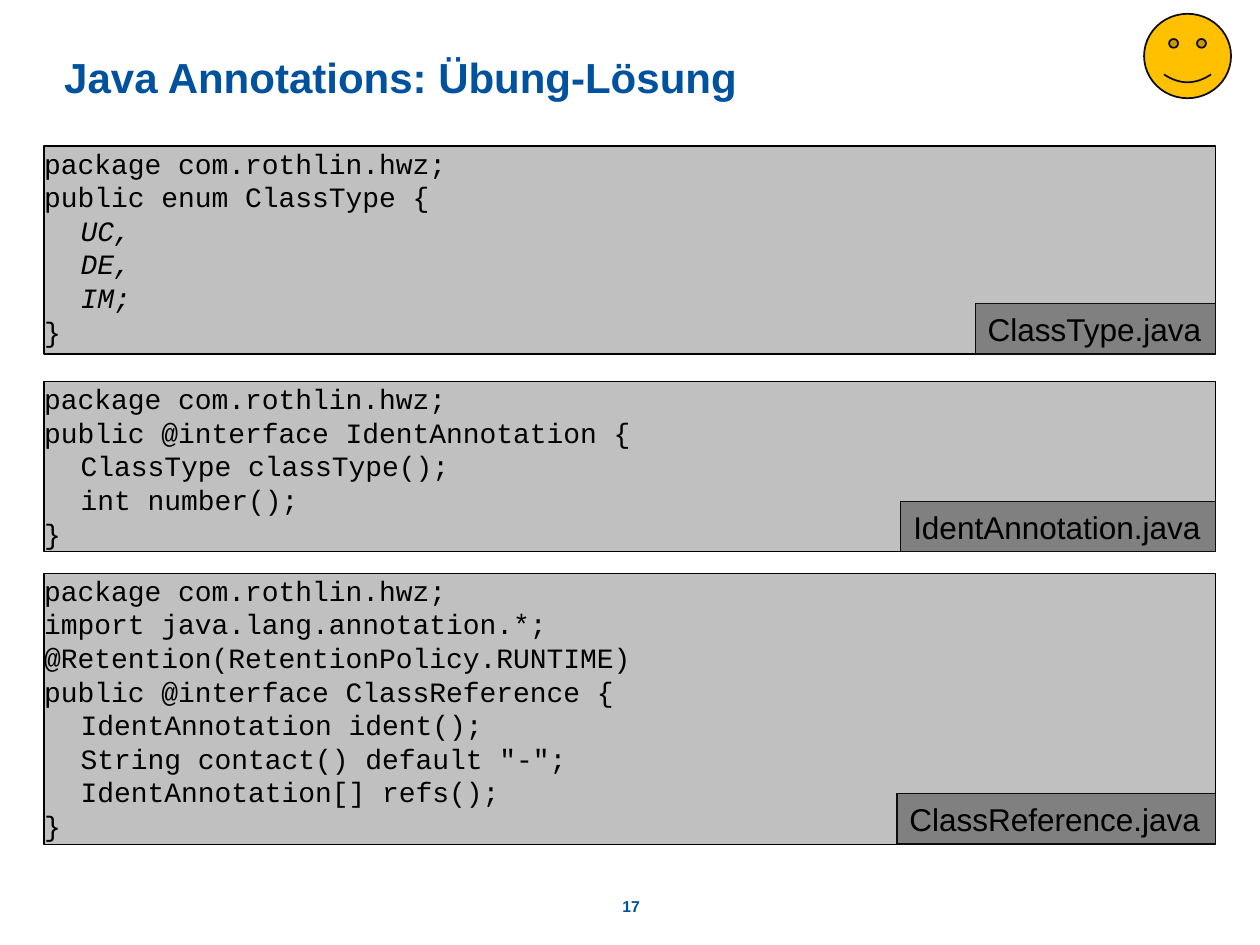
from pptx import Presentation
from pptx.dml.color import RGBColor
from pptx.enum.shapes import MSO_SHAPE
from pptx.enum.text import MSO_ANCHOR, PP_ALIGN
from pptx.util import Inches, Pt

RECTANGLE, SMILEY = MSO_SHAPE.RECTANGLE, MSO_SHAPE.SMILEY_FACE
TOP, MIDDLE = MSO_ANCHOR.TOP, MSO_ANCHOR.MIDDLE
LEFT, CENTER = PP_ALIGN.LEFT, PP_ALIGN.CENTER

BLACK = RGBColor(0x00, 0x00, 0x00)
NEAR_BLACK = RGBColor(0x0D, 0x0D, 0x0D)
BLUE = RGBColor(0x00, 0x52, 0x9F)
LIGHT_GREY = RGBColor(0xC0, 0xC0, 0xC0)
GREY = RGBColor(0x80, 0x80, 0x80)
YELLOW = RGBColor(0xFF, 0xC0, 0x00)

CODE_FONT = {"name": "Courier New", "size": Pt(16), "color": BLACK}
LABEL_FONT = {"name": "Arial", "size": Pt(18), "color": BLACK}
TITLE_FONT = {"name": "Arial", "size": Pt(24), "bold": True, "color": BLUE}
NUMBER_FONT = {"name": "Arial", "size": Pt(9), "bold": True, "color": BLUE}

TITLE = "Java Annotations: Übung-Lösung"
PAGE_NUMBER = "17"
ITALIC_LINES = {"\tUC,", "\tDE,", "\tIM;"}
LISTINGS = [
    {"file": "ClassType.java", "top": 1.16, "height": 1.65, "label_width": 1.91,
     "code": ["package com.rothlin.hwz;",
              "public enum ClassType {",
              "\tUC,",
              "\tDE,",
              "\tIM;",
              "}"]},
    {"file": "IdentAnnotation.java", "top": 3.03, "height": 1.35, "label_width": 2.5,
     "code": ["package com.rothlin.hwz;",
              "public @interface IdentAnnotation {",
              "\tClassType classType();",
              "\tint number();",
              "}"]},
    {"file": "ClassReference.java", "top": 4.55, "height": 2.15, "label_width": 2.53,
     "code": ["package com.rothlin.hwz;",
              "import java.lang.annotation.*;",
              "@Retention(RetentionPolicy.RUNTIME)",
              "public @interface ClassReference {",
              "\tIdentAnnotation ident();",
              "\tString contact() default \"-\";",
              "\tIdentAnnotation[] refs();",
              "}"]},
]
CODE_LEFT, CODE_WIDTH = 0.35, 9.3
CODE_INDENT = 0.29
LABEL_HEIGHT = 0.4


def add_panel(page, kind, place, fill, line, line_width=0.75):
    panel = page.shapes.add_shape(kind, *map(Inches, place))
    panel.shadow.inherit = False
    panel.fill.solid()
    panel.fill.fore_color.rgb = fill
    panel.line.color.rgb = line
    panel.line.width = Pt(line_width)
    return panel


def write(box, lines, font, align=LEFT, anchor=TOP, wrap=True, inset=None, indent=0):
    frame = box.text_frame
    frame.word_wrap = wrap
    frame.vertical_anchor = anchor
    if inset is not None:
        for side in ("left", "top", "right", "bottom"):
            setattr(frame, f"margin_{side}", Inches(inset))
    for index, line in enumerate(lines):
        para = frame.add_paragraph() if index else frame.paragraphs[0]
        para.alignment = align
        if indent:
            properties = para._p.get_or_add_pPr()
            properties.set("marL", str(Inches(indent)))
            properties.set("indent", str(Inches(-indent)))
        span = para.add_run()
        span.text = line
        for key, value in font.items():
            if key == "color":
                span.font.color.rgb = value
            else:
                setattr(span.font, key, value)
        if line in ITALIC_LINES:
            span.font.italic = True


def main():
    deck = Presentation()
    deck.slide_width, deck.slide_height = Inches(10), Inches(7.5)
    page = deck.slides.add_slide(deck.slide_layouts[6])

    title = page.shapes.add_textbox(*map(Inches, (0.51, 0.44, 9.01, 0.34)))
    write(title, [TITLE], TITLE_FONT, anchor=MIDDLE, inset=0)

    for listing in LISTINGS:
        place = (CODE_LEFT, listing["top"], CODE_WIDTH, listing["height"])
        panel = add_panel(page, RECTANGLE, place, LIGHT_GREY, BLACK)
        write(panel, listing["code"], CODE_FONT, inset=0, indent=CODE_INDENT)

        width = listing["label_width"]
        right = CODE_LEFT + CODE_WIDTH
        bottom = listing["top"] + listing["height"]
        place = (right - width, bottom - LABEL_HEIGHT, width, LABEL_HEIGHT)
        label = add_panel(page, RECTANGLE, place, GREY, NEAR_BLACK)
        write(label, [listing["file"]], LABEL_FONT, wrap=False)

    add_panel(page, SMILEY, (9.08, 0.11, 0.69, 0.67), YELLOW, NEAR_BLACK, 1)

    number = page.shapes.add_textbox(*map(Inches, (4.76, 7.07, 0.5, 0.25)))
    write(number, [PAGE_NUMBER], NUMBER_FONT, align=CENTER)

    deck.save("out.pptx")


if __name__ == "__main__":
    main()
